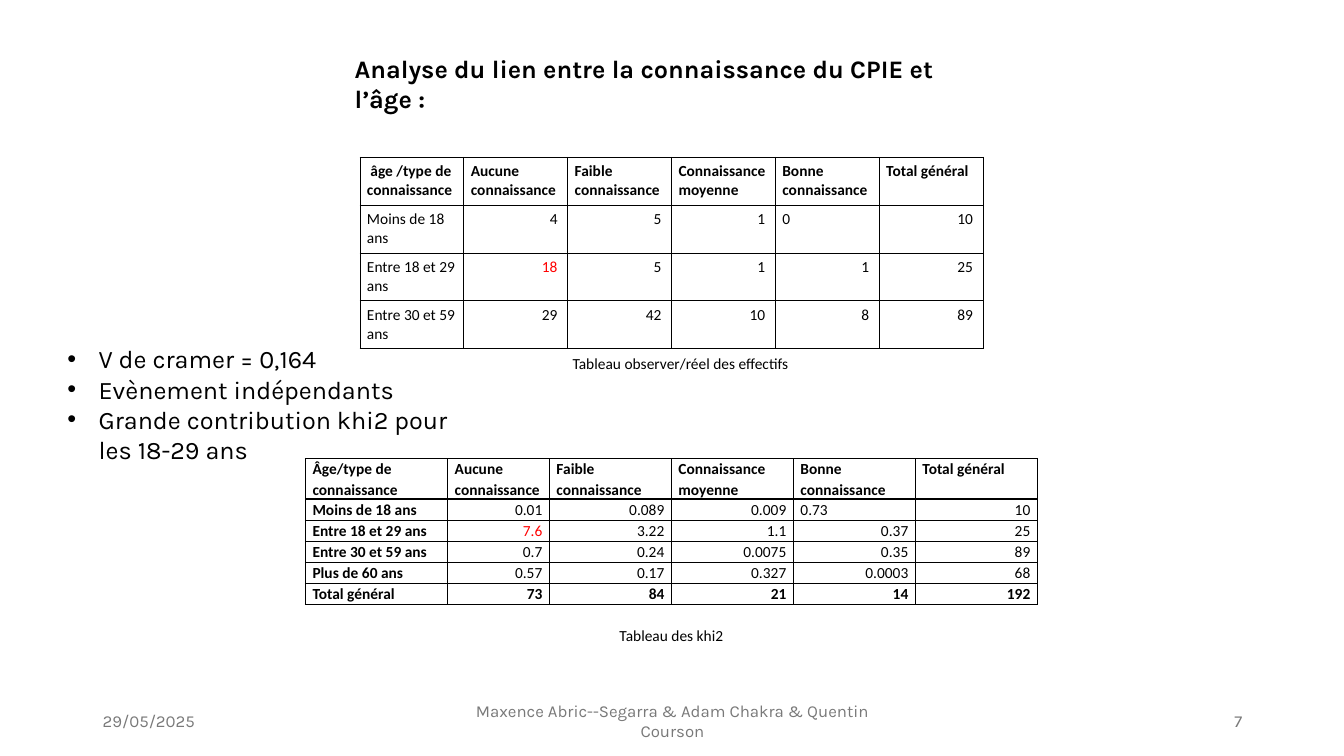
from lxml import etree
from pptx import Presentation
from pptx.dml.color import RGBColor
from pptx.enum.text import MSO_ANCHOR, PP_ALIGN
from pptx.oxml.ns import qn
from pptx.util import Emu, Pt

PX = 9144  # 100 px to the inch
LEFT, CENTER, RIGHT = PP_ALIGN.LEFT, PP_ALIGN.CENTER, PP_ALIGN.RIGHT
TOP, MIDDLE = MSO_ANCHOR.TOP, MSO_ANCHOR.MIDDLE
COLORS = {"text": "000000", "footer": "797979", "highlight": "FF0000", "border": "000000"}
TITLE_FONT, TABLE_FONT = "Karla", "Calibri"

# Cells that differ from the rest, as (row, column), in both tables
HIGHLIGHTED_CELL = (2, 1)
LEFT_ALIGNED_CELL = (1, 4)

HEADERS = ["Aucune connaissance", "Faible connaissance", "Connaissance moyenne",
           "Bonne connaissance", "Total général"]
OBSERVED_ROWS = [
    [" âge /type de connaissance"] + HEADERS,
    ["Moins de 18 ans", "4", "5", "1", "0", "10"],
    ["Entre 18 et 29 ans", "18", "5", "1", "1", "25"],
    ["Entre 30 et 59 ans", "29", "42", "10", "8", "89"],
]
KHI2_ROWS = [
    ["Âge/type de connaissance"] + HEADERS,
    ["Moins de 18 ans", "0.01", "0.089", "0.009", "0.73", "10"],
    ["Entre 18 et 29 ans", "7.6", "3.22", "1.1", "0.37", "25"],
    ["Entre 30 et 59 ans", "0.7", "0.24", "0.0075", "0.35", "89"],
    ["Plus de 60 ans", "0.57", "0.17", "0.327", "0.0003", "68"],
    ["Total général", "73", "84", "21", "14", "192"],
]
FINDINGS = ["V de cramer = 0,164", "Evènement indépendants",
            "Grande contribution khi2 pour les 18-29 ans"]


def px(length):
    return Emu(length * PX)


def write(paragraph, text, font=TITLE_FONT, size=18, color="text", bold=False,
          align=LEFT, line_spacing=None, space_after=None):
    paragraph.alignment = align
    if line_spacing is not None:
        paragraph.line_spacing = line_spacing
    if space_after is not None:
        paragraph.space_after = space_after
    run = paragraph.add_run()
    run.text = text
    run.font.name = font
    run.font.size = Pt(size)
    run.font.bold = bold
    run.font.color.rgb = RGBColor.from_string(COLORS[color])


def add_bullet(paragraph, indent):
    properties = paragraph._p.get_or_add_pPr()
    properties.set("marL", str(px(indent)))
    properties.set("indent", str(-px(indent)))
    etree.SubElement(properties, qn("a:buFont")).set("typeface", "Arial")
    etree.SubElement(properties, qn("a:buChar")).set("char", "•")


def add_text(slide, box, lines, anchor=TOP, bullet_indent=0, **text_format):
    frame = slide.shapes.add_textbox(*map(px, box)).text_frame
    frame.word_wrap = True
    frame.vertical_anchor = anchor
    for index, line in enumerate(lines):
        paragraph = frame.add_paragraph() if index else frame.paragraphs[0]
        if bullet_indent:
            add_bullet(paragraph, bullet_indent)
        write(paragraph, line, **text_format)


def set_borders(cell, width):
    properties = cell._tc.get_or_add_tcPr()
    for index, side in enumerate(("lnL", "lnR", "lnT", "lnB")):
        line = etree.Element(qn(f"a:{side}"), w=str(Pt(width)))
        fill = etree.SubElement(line, qn("a:solidFill"))
        etree.SubElement(fill, qn("a:srgbClr")).set("val", COLORS["border"])
        properties.insert(index, line)


def add_data_table(slide, left, top, rows, widths, heights, is_bold, border,
                   margin_y=0, number_margin=7, **text_format):
    table = slide.shapes.add_table(
        len(rows), len(widths), px(left), px(top), px(sum(widths)), px(sum(heights))).table
    table.first_row = table.horz_banding = False
    for column, width in zip(table.columns, widths):
        column.width = px(width)
    for r, (row, height) in enumerate(zip(rows, heights)):
        table.rows[r].height = px(height)
        for c, text in enumerate(row):
            cell = table.cell(r, c)
            is_number = r > 0 and c > 0 and (r, c) != LEFT_ALIGNED_CELL
            cell.margin_left = px(7)
            cell.margin_right = px(number_margin if is_number else 7)
            cell.margin_top = cell.margin_bottom = px(margin_y)
            cell.fill.background()
            set_borders(cell, border)
            write(cell.text_frame.paragraphs[0], text, font=TABLE_FONT, size=11,
                  color="highlight" if (r, c) == HIGHLIGHTED_CELL else "text",
                  bold=is_bold(r, c), align=RIGHT if is_number else LEFT, **text_format)


def add_observed_table(slide, left, top):
    add_data_table(slide, left, top, OBSERVED_ROWS, [103] * 6, [47] * 4,
                   lambda r, c: r == 0, 0.75, margin_y=5, number_margin=10,
                   line_spacing=Pt(13.5))
    add_caption(slide, left + 168, top + 190, "Tableau observer/réel des effectifs")


def add_khi2_table(slide, left, top):
    last_row = len(KHI2_ROWS) - 1
    add_data_table(slide, left, top, KHI2_ROWS, [141, 101] + [121] * 4, [40] + [21] * 5,
                   lambda r, c: r in (0, last_row) or c == 0, 1,
                   line_spacing=1.07, space_after=Pt(8))
    add_caption(slide, left + 213, top + 161, "Tableau des khi2")


def add_caption(slide, left, top, text):
    add_text(slide, (left, top, 300, 29), [text], font=TABLE_FONT, size=11, align=CENTER)


def add_footer(slide, top, height):
    authors = "Maxence Abric--Segarra & Adam Chakra & Quentin Courson"
    for left, width, text, align in ((92, 300, "29/05/2025", LEFT),
                                     (442, 450, authors, CENTER),
                                     (942, 300, "7", RIGHT)):
        add_text(slide, (left, top, width, height), [text], anchor=MIDDLE,
                 size=12, color="footer", align=align)


def main():
    presentation = Presentation()
    presentation.slide_width, presentation.slide_height = px(1333), px(750)
    slide = presentation.slides.add_slide(presentation.slide_layouts[6])
    add_footer(slide, 695, 40)
    add_khi2_table(slide, 303, 455)
    add_text(slide, (342, 48, 650, 40),
             ["Analyse du lien entre la connaissance du CPIE et l’âge :"], bold=True)
    add_observed_table(slide, 357, 156)
    add_text(slide, (57, 336, 404, 131), FINDINGS, bullet_indent=31)
    presentation.save("out.pptx")


if __name__ == "__main__":
    main()
